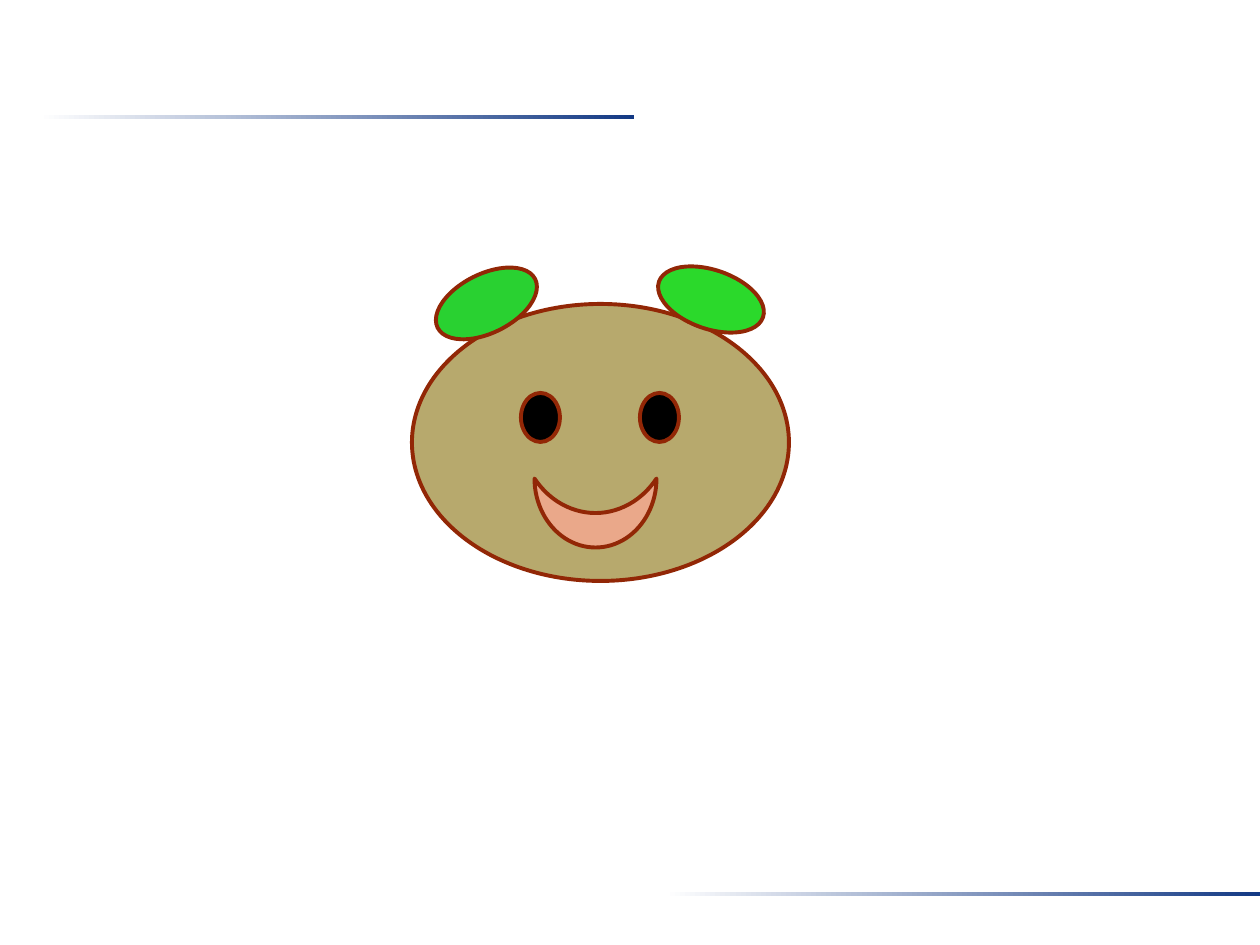
from pptx import Presentation
from pptx.dml.color import RGBColor
from pptx.enum.shapes import MSO_SHAPE
from pptx.util import Pt

PX = 914400 // 126
SLIDE_WIDTH, SLIDE_HEIGHT = 1260, 945
RECTANGLE = MSO_SHAPE.RECTANGLE
OVAL = MSO_SHAPE.OVAL
MOON = MSO_SHAPE.MOON
WHITE, NAVY, OUTLINE = "FFFFFF", "133984", "922706"


def px(length):
    return length * PX


def color(value):
    return RGBColor.from_string(value)


def add_preset(slide, kind, box):
    shape = slide.shapes.add_shape(kind, *map(px, box))
    shape.shadow.inherit = False
    return shape


def add_rule(slide, left, top):
    rule = add_preset(slide, RECTANGLE, (left, top, 595, 4))
    rule.line.fill.background()
    rule.fill.gradient()
    rule.fill.gradient_angle = 0
    for stop, position, tint in zip(rule.fill.gradient_stops, (0, 1), (WHITE, NAVY)):
        stop.position = position
        stop.color.rgb = color(tint)


def add_feature(slide, kind, box, tint, rotation=0):
    feature = add_preset(slide, kind, box)
    feature.rotation = rotation
    feature.fill.solid()
    feature.fill.fore_color.rgb = color(tint)
    feature.line.color.rgb = color(OUTLINE)
    feature.line.width = Pt(2.25)


def add_face(slide):
    add_feature(slide, OVAL, (412, 304, 377, 277), "B7A96D")
    add_feature(slide, OVAL, (432, 274, 109, 59), "29D131", 333.5)
    add_feature(slide, OVAL, (656, 270, 110, 59), "2BD92B", 18.9)
    for eye_left in (521, 640):
        add_feature(slide, OVAL, (eye_left, 393, 39, 49), "000000")
    add_feature(slide, MOON, (561, 452, 69, 122), "EAA88A", 270)


def main():
    deck = Presentation()
    deck.slide_width = px(SLIDE_WIDTH)
    deck.slide_height = px(SLIDE_HEIGHT)
    slide = deck.slides.add_slide(deck.slide_layouts[6])
    slide.background.fill.solid()
    slide.background.fill.fore_color.rgb = color(WHITE)
    add_rule(slide, 39, 115)
    add_rule(slide, 665, 892)
    add_face(slide)
    deck.save("out.pptx")


if __name__ == "__main__":
    main()
